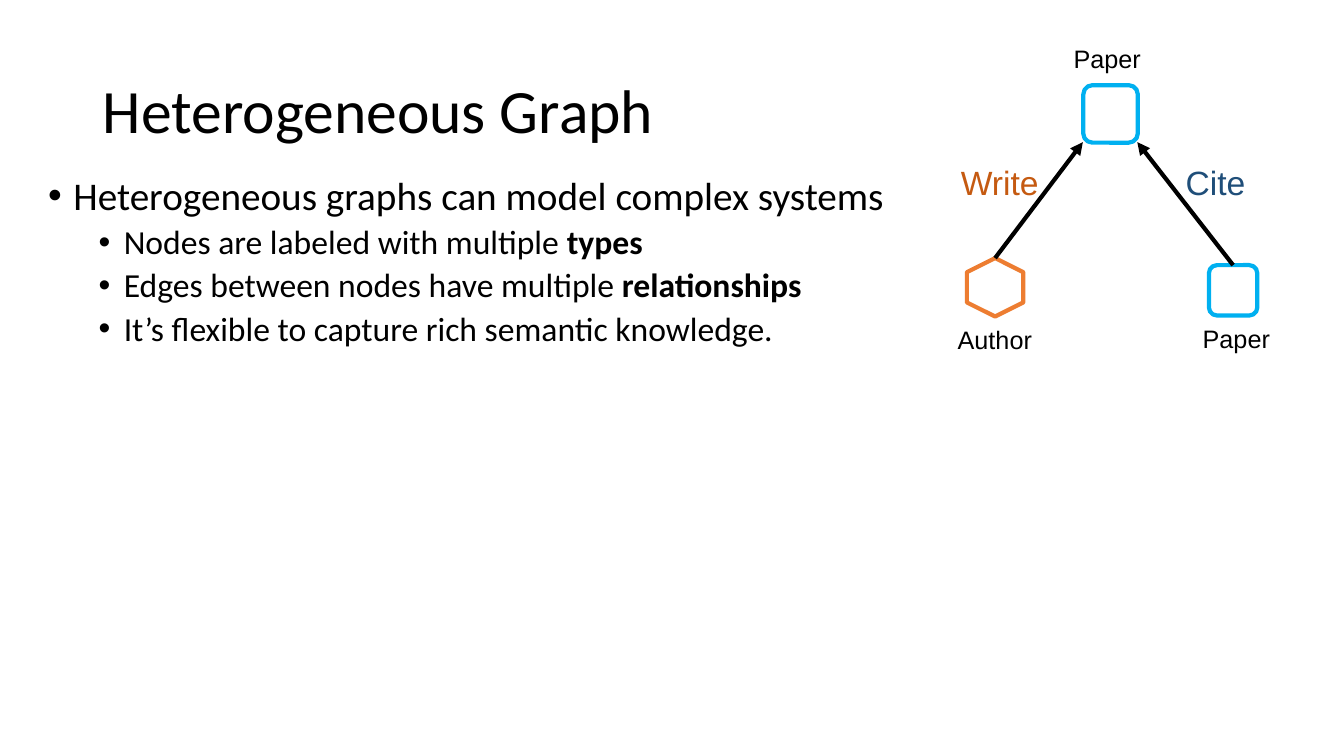
from lxml import etree
from pptx import Presentation
from pptx.dml.color import RGBColor
from pptx.enum.shapes import MSO_CONNECTOR, MSO_SHAPE
from pptx.enum.text import MSO_ANCHOR
from pptx.oxml.ns import qn
from pptx.util import Pt

LINE = MSO_CONNECTOR.STRAIGHT
ROUND, HEX = MSO_SHAPE.ROUNDED_RECTANGLE, MSO_SHAPE.HEXAGON
TOP, MIDDLE = MSO_ANCHOR.TOP, MSO_ANCHOR.MIDDLE
PX = 9144  # 100 px to the inch
BLACK, WHITE, BLUE, ORANGE = "000000", "FFFFFF", "00B0F0", "ED7D31"

# Content: runs are (text, bold)
TITLE = "Heterogeneous Graph"
BULLETS = [
    (0, [("Heterogeneous graphs can model complex systems", False)]),
    (1, [("Nodes are labeled with multiple ", False), ("types", True)]),
    (1, [("Edges between nodes have multiple ", False), ("relationships", True)]),
    (1, [("It’s flexible to capture rich semantic knowledge.", False)]),
]
LEVELS = [(28, 10, 25), (24, 5, 75)]  # size, space before, indent in px
HANG = 25

# Graph: boxes are left, top, width, height
NODES = [
    (ROUND, BLUE, (1073, 86, 57, 54)),
    (HEX, ORANGE, (958, 257, 58, 56)),
    (ROUND, BLUE, (1198, 264, 50, 48)),
]
EDGES = [(1223, 263, 1128, 141), (987, 256, 1074, 141)]
LABELS = [  # text, size, colour, inset, box
    ("Paper", 18, BLACK, (10, 5), (1055, 38, 88, 40)),
    ("Author", 18, BLACK, (10, 5), (940, 317, 95, 40)),
    ("Paper", 18, BLACK, (10, 5), (1183, 316, 88, 40)),
    ("Cite", 24, "1F4E79", (0, 0), (1176, 161, 60, 40)),
    ("Write", 24, "C55A11", (0, 0), (953, 161, 78, 40)),
]


def emu(box):
    return [n * PX for n in box]


def rgb(code):
    return RGBColor.from_string(code)


def add_box(slide, box, inset=(10, 5), wrap=True, anchor=TOP):
    frame = slide.shapes.add_textbox(*emu(box)).text_frame
    frame.word_wrap = wrap
    frame.vertical_anchor = anchor
    frame.margin_left = frame.margin_right = inset[0] * PX
    frame.margin_top = frame.margin_bottom = inset[1] * PX
    return frame


def add_run(para, text, size, font, color=BLACK, bold=False):
    run = para.add_run()
    run.text = text
    run.font.size = Pt(size)
    run.font.name = font
    run.font.bold = bold
    run.font.color.rgb = rgb(color)


def add_list(slide, box):
    frame = add_box(slide, box)
    for i, (level, runs) in enumerate(BULLETS):
        para = frame.add_paragraph() if i else frame.paragraphs[0]
        size, before, left = LEVELS[level]
        para.level = level
        para.line_spacing = 0.9
        if i:
            para.space_before = Pt(before)
        props = para._p.get_or_add_pPr()
        props.set("marL", str(left * PX))
        props.set("indent", str(-HANG * PX))
        etree.SubElement(props, qn("a:buFont"), typeface="Arial")
        etree.SubElement(props, qn("a:buChar"), char="•")
        for text, bold in runs:
            add_run(para, text, size, "Calibri", bold=bold)


def add_node(slide, kind, color, box):
    node = slide.shapes.add_shape(kind, *emu(box))
    node.rotation = 270
    node.shadow.inherit = False
    node.fill.solid()
    node.fill.fore_color.rgb = rgb(WHITE)
    node.line.color.rgb = rgb(color)
    node.line.width = Pt(3)


def add_edge(slide, ends):
    edge = slide.shapes.add_connector(LINE, *emu(ends))
    edge.line.color.rgb = rgb(BLACK)
    edge.line.width = Pt(3)
    etree.SubElement(edge.line._get_or_add_ln(), qn("a:tailEnd"), type="triangle")
    etree.SubElement(edge._element.spPr, qn("a:effectLst"))


def main():
    deck = Presentation()
    deck.slide_width, deck.slide_height = emu((1333, 750))
    slide = deck.slides.add_slide(deck.slide_layouts[6])

    # Title and bullets
    head = add_box(slide, (92, 40, 719, 145), anchor=MIDDLE).paragraphs[0]
    head.line_spacing = 0.9
    add_run(head, TITLE, 44, "Calibri")
    add_list(slide, (38, 170, 1150, 220))

    # Graph
    for kind, color, box in NODES:
        add_node(slide, kind, color, box)
    for ends in EDGES:
        add_edge(slide, ends)
    for text, size, color, inset, box in LABELS:
        para = add_box(slide, box, inset, wrap=False).paragraphs[0]
        add_run(para, text, size, "Arial", color)

    deck.save("out.pptx")


if __name__ == "__main__":
    main()
